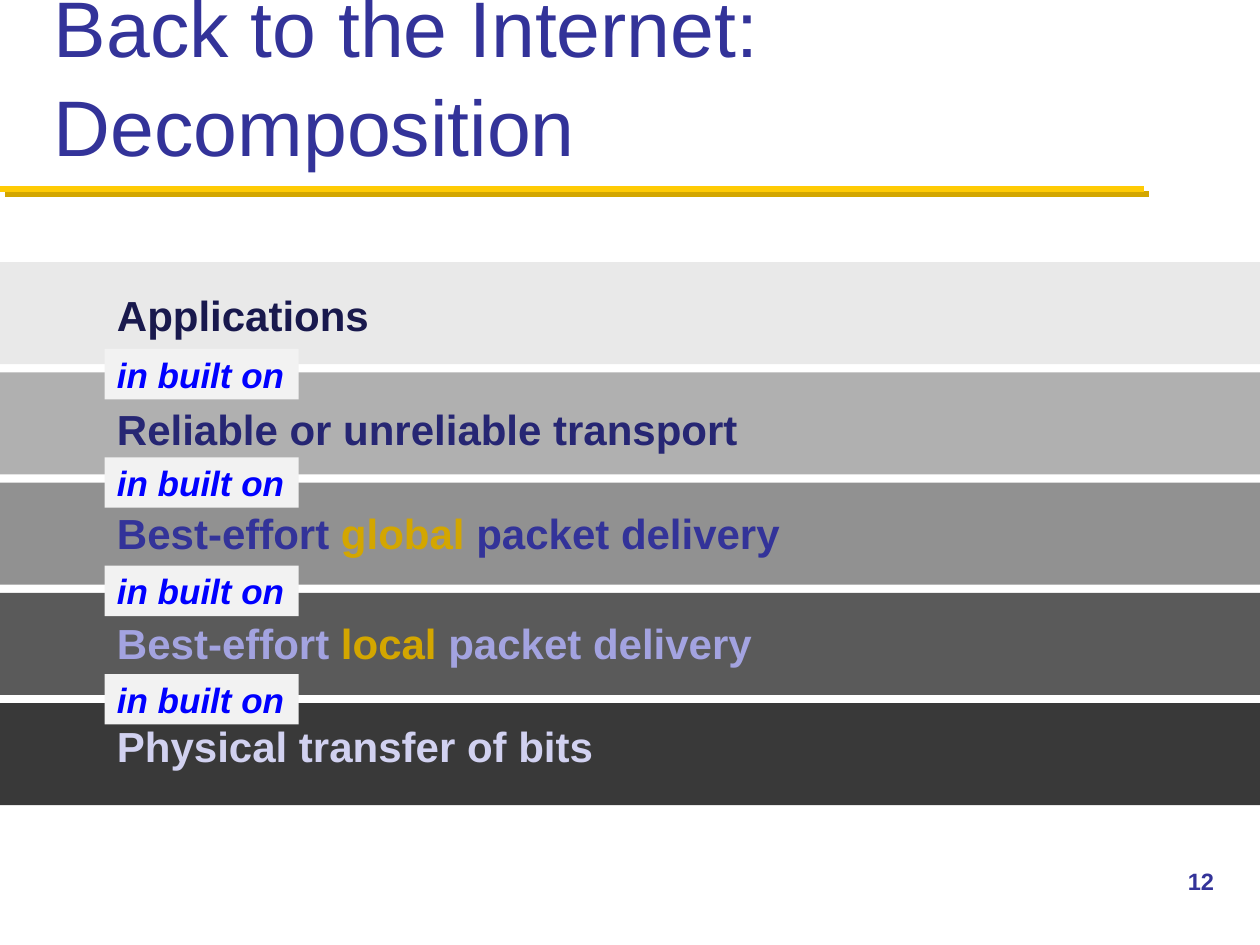
from lxml import etree
from pptx import Presentation
from pptx.dml.color import RGBColor
from pptx.enum.shapes import MSO_CONNECTOR as Connector, MSO_SHAPE as Shape
from pptx.enum.text import MSO_ANCHOR as Anchor, PP_ALIGN as Align
from pptx.oxml import parse_xml
from pptx.util import Inches, Pt

NAVY = RGBColor(0x33, 0x33, 0x99)
YELLOW = RGBColor(0xFF, 0xCB, 0x05)
GOLD = RGBColor(0xD3, 0xA6, 0x00)
BLUE = RGBColor(0x00, 0x00, 0xFF)
TAG_FILL = RGBColor(0xF2, 0xF2, 0xF2)
DARK_NAVY = RGBColor(0x19, 0x19, 0x4D)
MID_NAVY = RGBColor(0x26, 0x26, 0x73)
LILAC = RGBColor(0xA3, 0xA3, 0xE0)
PALE_LILAC = RGBColor(0xD1, 0xD1, 0xF0)
GRAYS = [RGBColor(v, v, v) for v in (0xE9, 0xB0, 0x91, 0x5A, 0x39)]

TITLE = "Back to the Internet: Decomposition"
PAGE_NUMBER = "12"
TAG = "in built on"
LAYERS = [
    (2.25, 2.22, [("Applications", DARK_NAVY)]),
    (3.15, 5.17, [("Reliable or unreliable transport", MID_NAVY)]),
    (3.98, 5.51, [("Best-effort ", NAVY), ("global", GOLD), (" packet delivery", NAVY)]),
    (4.85, 5.29, [("Best-effort ", LILAC), ("local", GOLD), (" packet delivery", LILAC)]),
    (5.67, 4.02, [("Physical transfer of bits", PALE_LILAC)]),
]
BAND_TOP, BAND_STEP, BAND_HEIGHT = 2.08, 0.875, 0.81
TAG_TOP, TAG_STEP = 2.77, 0.86
TEXT_LEFT = 0.83

TITLE_FORMAT = {"size": Pt(45), "name": "Arial"}
NUMBER_FORMAT = {"size": Pt(13.5), "name": "Arial", "bold": True}
LAYER_FORMAT = {"size": Pt(24), "name": "Arial", "bold": True}
TAG_FORMAT = {"size": Pt(20), "name": "Arial", "bold": True, "italic": True}

DRAWING = "http://schemas.openxmlformats.org/drawingml/2006/main"
SHADOW = f"""<a:effectLst xmlns:a="{DRAWING}">
<a:outerShdw dist="{Pt(4.2)}" dir="2700000" algn="ctr" rotWithShape="0">
<a:srgbClr val="{GOLD}"/></a:outerShdw></a:effectLst>"""


def write(shape, spans, font_format, anchor=Anchor.TOP, wrap=False, spacing=None):
    frame = shape.text_frame
    frame.word_wrap = wrap
    frame.vertical_anchor = anchor
    para = frame.paragraphs[0]
    para.alignment = Align.LEFT
    para.line_spacing = spacing
    for text, color in spans:
        span = para.add_run()
        span.text = text
        for name, value in font_format.items():
            setattr(span.font, name, value)
        span.font.color.rgb = color


def add_box(page, left, top, width, height):
    return page.shapes.add_textbox(*map(Inches, (left, top, width, height)))


def add_rectangle(page, left, top, width, height, color):
    box = page.shapes.add_shape(
        Shape.RECTANGLE, *map(Inches, (left, top, width, height)))
    box.shadow.inherit = False
    box.fill.solid()
    box.fill.fore_color.rgb = color
    box.line.fill.background()
    return box


def add_rule(page):
    rule = page.shapes.add_connector(
        Connector.STRAIGHT, *map(Inches, (0, 1.5, 9.08, 1.5)))
    rule.line.color.rgb = YELLOW
    rule.line.width = Pt(3.5)
    rule._element.spPr.append(parse_xml(etree.tostring(etree.fromstring(SHADOW))))


def main():
    deck = Presentation()
    deck.slide_width, deck.slide_height = Inches(10), Inches(7.5)
    page = deck.slides.add_slide(deck.slide_layouts[6])

    add_rule(page)
    write(add_box(page, 0.33, 0.17, 9.33, 1.25), [(TITLE, NAVY)],
          TITLE_FORMAT, Anchor.BOTTOM, wrap=True, spacing=1.05)
    write(add_box(page, 9.33, 6.83, 0.67, 0.5), [(PAGE_NUMBER, NAVY)], NUMBER_FORMAT)

    for index, gray in enumerate(GRAYS):
        add_rectangle(page, 0, BAND_TOP + index * BAND_STEP, 10, BAND_HEIGHT, gray)
    for top, width, spans in LAYERS:
        write(add_box(page, TEXT_LEFT, top, width, 0.5), spans, LAYER_FORMAT)
    for index in range(len(LAYERS) - 1):
        tag = add_rectangle(
            page, TEXT_LEFT, TAG_TOP + index * TAG_STEP, 1.54, 0.4, TAG_FILL)
        write(tag, [(TAG, BLUE)], TAG_FORMAT, Anchor.MIDDLE)

    deck.save("out.pptx")


if __name__ == "__main__":
    main()
